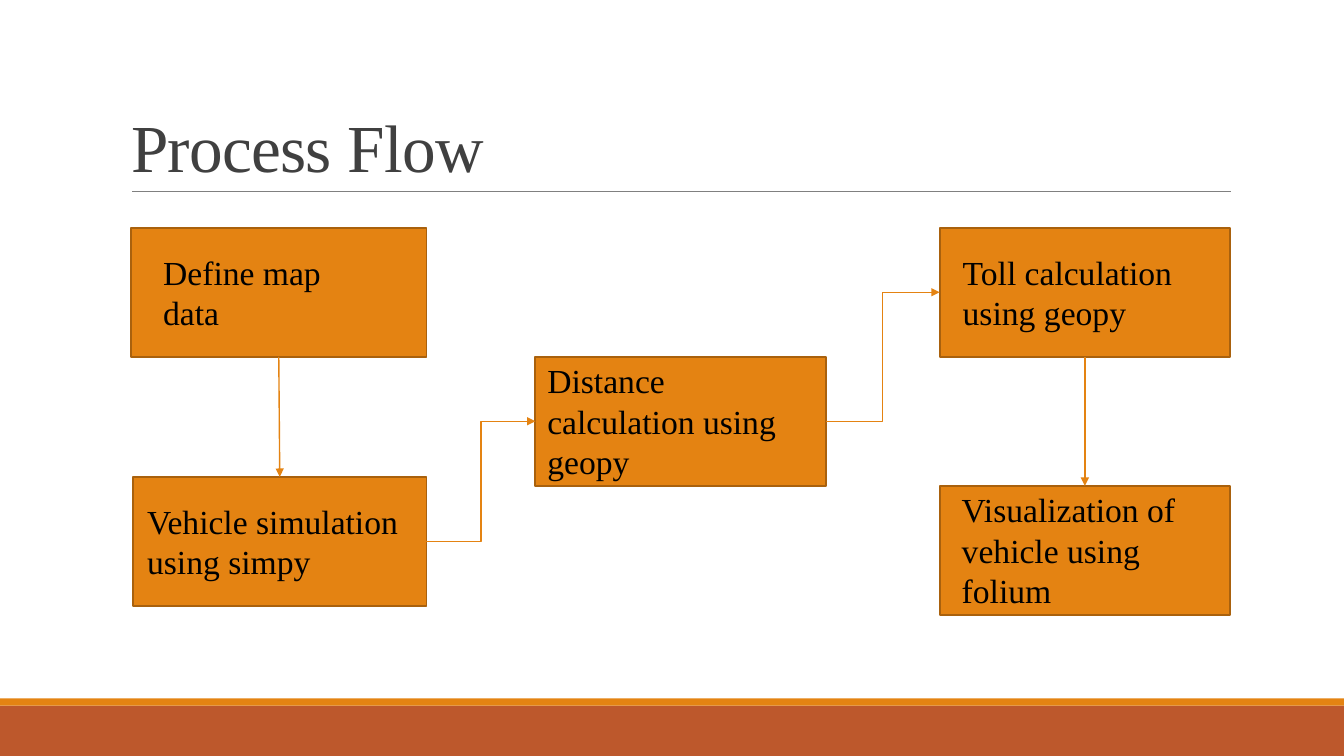
from pptx import Presentation
from pptx.dml.color import RGBColor
from pptx.enum.shapes import MSO_CONNECTOR, MSO_SHAPE
from pptx.enum.text import MSO_ANCHOR, MSO_AUTO_SIZE, PP_ALIGN
from pptx.oxml.ns import qn
from pptx.util import Inches, Pt

RECT = MSO_SHAPE.RECTANGLE
LINE, ELBOW = MSO_CONNECTOR.STRAIGHT, MSO_CONNECTOR.ELBOW
BOTTOM, NONE, LEFT = MSO_ANCHOR.BOTTOM, MSO_AUTO_SIZE.NONE, PP_ALIGN.LEFT
DOWN, WEST, EAST, UP = 2, 1, 3, 0

ORANGE = RGBColor(0xE4, 0x83, 0x12)
BROWN = RGBColor(0xA9, 0x61, 0x0D)
RUST = RGBColor(0xBD, 0x58, 0x2C)
GRAY = RGBColor(0x80, 0x80, 0x80)
DARK = RGBColor(0x40, 0x40, 0x40)
BLACK = RGBColor(0, 0, 0)
FONT = "Times New Roman"

# Grid of three columns and three rows, in inches
WIDE, HIGH = 13.33, 7.5
X0, Y0 = 1.3, 2.26
COL, ROW = 4.01, 1.28

# Column, row, box width, label (inset, width, lines), text
STEPS = [
    (0, 0, 2.93, (0.22, 2.17, 2), "Define map data"),
    (0.005, 1.93, 2.91, (0.04, 2.83, 2), "Vehicle simulation using simpy"),
    (1, 1, 2.88, (0.02, 2.88, 3), "Distance calculation using geopy"),
    (2, 0, 2.88, (0.13, 2.73, 2), "Toll calculation using geopy"),
    (2, 2, 2.88, (0.12, 2.65, 3), "Visualization of vehicle using folium"),
]
# Kind, side left and side reached, from each step to the next
LINKS = [(LINE, DOWN, UP), (ELBOW, EAST, WEST),
         (ELBOW, EAST, WEST), (LINE, DOWN, UP)]


def style(para, size, color):
    para.font.name = FONT
    para.font.size = Pt(size)
    para.font.color.rgb = color


def add_box(slide, x, y, w, h, fill, edge=None):
    box = slide.shapes.add_shape(RECT, Inches(x), Inches(y), Inches(w), Inches(h))
    box.shadow.inherit = False
    box.fill.solid()
    box.fill.fore_color.rgb = fill
    if edge is None:
        box.line.fill.background()
    else:
        box.line.color.rgb = edge
        box.line.width = Pt(1.25)
    return box


def add_label(slide, x, mid, w, lines, text):
    h = 0.11 + 0.4 * lines
    label = slide.shapes.add_textbox(
        Inches(x), Inches(mid - h / 2), Inches(w), Inches(h))
    label.text_frame.word_wrap = True
    label.text_frame.text = text
    style(label.text_frame.paragraphs[0], 24, BLACK)


def add_line(slide, kind, ends, color, width):
    line = slide.shapes.add_connector(kind, *[Inches(v) for v in ends])
    line.line.color.rgb = color
    line.line.width = Pt(width)
    line._element.spPr.add_effect = None
    props = line._element.spPr
    props.append(props.makeelement(qn("a:effectLst"), {}))
    return line


def add_arrow(slide, kind, start, out, end, into):
    arrow = add_line(slide, kind, (0, 0, 1, 1), ORANGE, 1)
    arrow.begin_connect(start, out)
    arrow.end_connect(end, into)
    ln = arrow.line._get_or_add_ln()
    ln.append(ln.makeelement(qn("a:tailEnd"), {"type": "triangle"}))


def set_title(slide, text):
    title = slide.shapes.title
    title.left, title.top = Inches(1.2), Inches(0.31)
    title.width, title.height = Inches(11), Inches(1.59)
    frame = title.text_frame
    frame.text = text
    frame.auto_size = NONE
    frame.vertical_anchor = BOTTOM
    para = frame.paragraphs[0]
    para.alignment = LEFT
    para.line_spacing = 0.85
    style(para, 48, DARK)
    para.runs[0].font._element.set("spc", "-50")


def main():
    prs = Presentation()
    prs.slide_width, prs.slide_height = Inches(WIDE), Inches(HIGH)
    slide = prs.slides.add_slide(prs.slide_layouts[5])

    # Footer bands and title with its rule
    add_box(slide, 0, 7, WIDE, 0.5, RUST)
    add_box(slide, 0, 6.93, WIDE, 0.07, ORANGE)
    add_line(slide, LINE, (1.31, 1.9, 12.21, 1.9), GRAY, 0.5)
    set_title(slide, "Process Flow")

    # Steps with their labels
    boxes = []
    for col, row, w, (inset, span, lines), text in STEPS:
        x, y = X0 + col * COL, Y0 + row * ROW
        boxes.append(add_box(slide, x, y, w, ROW, ORANGE, BROWN))
        add_label(slide, x + inset, y + ROW / 2, span, lines, text)

    # Arrows from step to step
    for start, end, (kind, out, into) in zip(boxes, boxes[1:], LINKS):
        add_arrow(slide, kind, start, out, end, into)

    prs.save("out.pptx")


if __name__ == "__main__":
    main()
